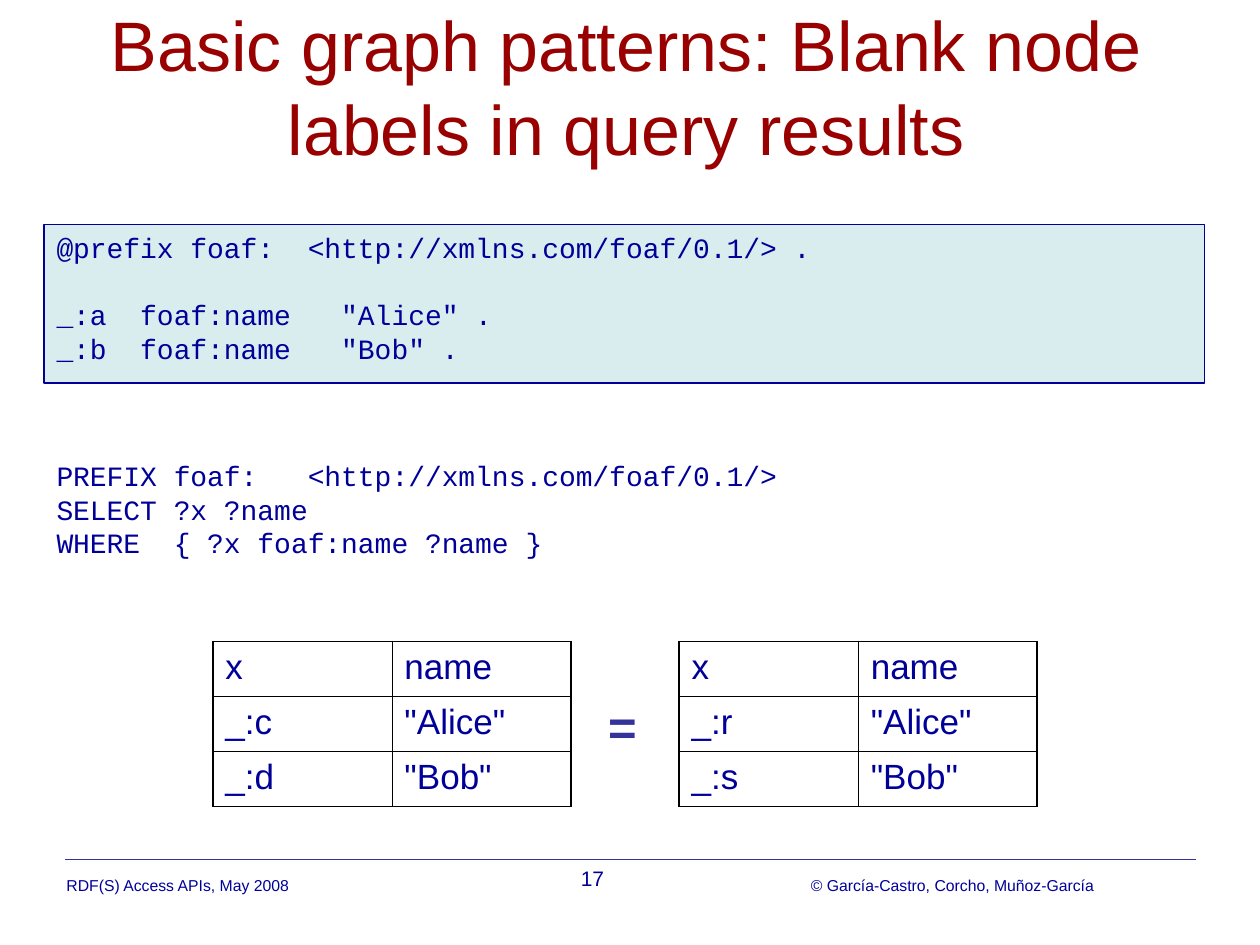
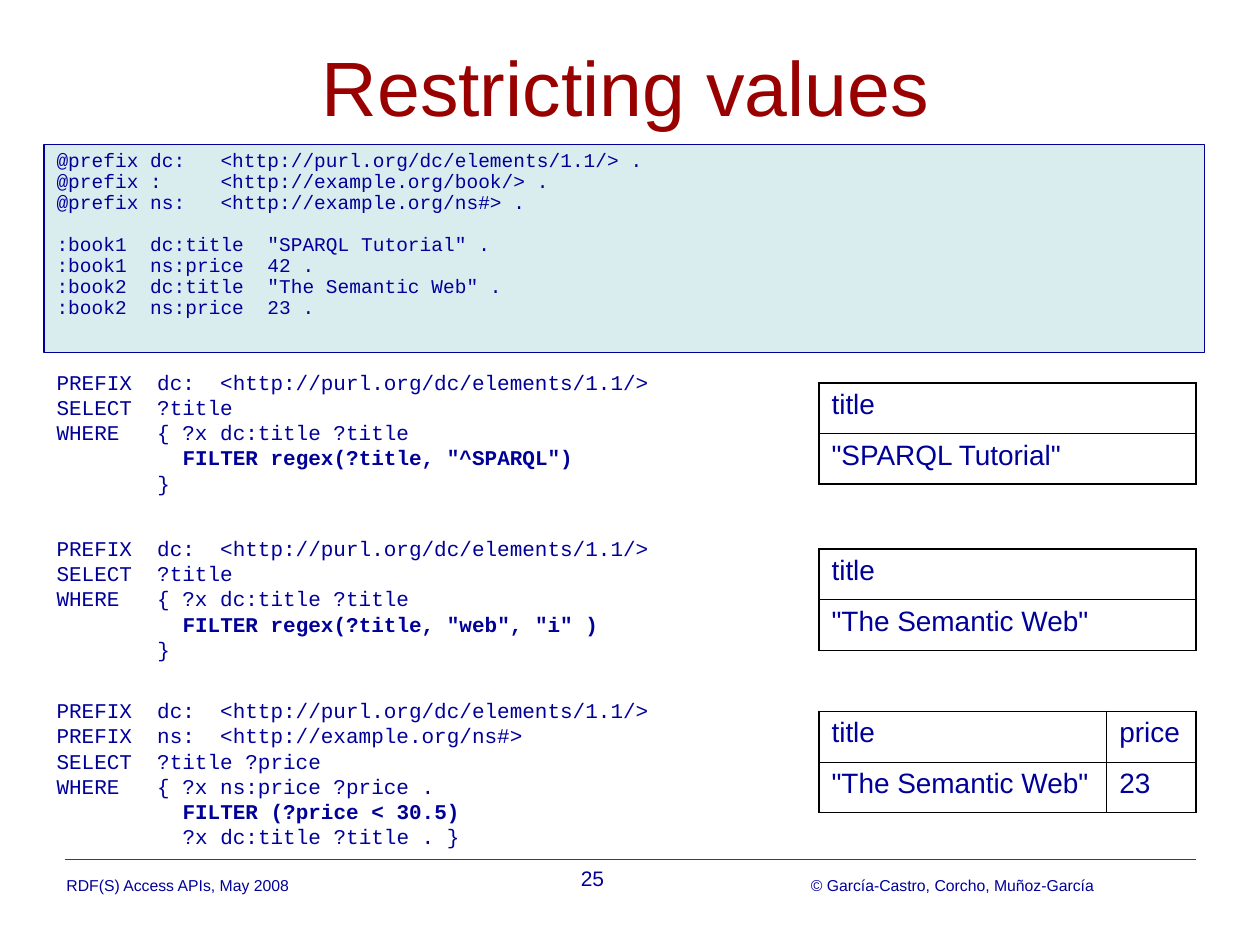
from lxml.etree import SubElement
from pptx import Presentation
from pptx.dml.color import RGBColor
from pptx.enum.shapes import MSO_CONNECTOR, MSO_SHAPE
from pptx.enum.text import MSO_ANCHOR, PP_ALIGN
from pptx.oxml import parse_xml
from pptx.oxml.ns import nsdecls, qn
from pptx.util import Cm, Pt

# Shared look
NAVY, MAROON, INDIGO, BLACK = "000099", "990000", "333399", "000000"
DATA_FILL = "D9EDEF"
BODY_FONT, CODE_FONT = "Arial", "Courier New"
CODE_LEFT, CODE_WIDTH = 0.89, 23.39
CODE_LINE_HEIGHT = 1.2   # blank line, relative to font size
CODE_CHAR_WIDTH = 0.6    # one monospaced letter, relative to font size
OUTER_LINE, INNER_LINE = 1.08, 0.45

# Code shown on the slides
PEOPLE_DATA = """\
@prefix foaf:  <http://xmlns.com/foaf/0.1/> .

_:a  foaf:name   "Alice" .
_:b  foaf:name   "Bob" ."""

PEOPLE_QUERY = """\
PREFIX foaf:   <http://xmlns.com/foaf/0.1/>
SELECT ?x ?name
WHERE  { ?x foaf:name ?name }"""

BOOK_DATA = """\
@prefix dc:   <http://purl.org/dc/elements/1.1/> .
@prefix :     <http://example.org/book/> .
@prefix ns:   <http://example.org/ns#> .

:book1  dc:title  "SPARQL Tutorial" .
:book1  ns:price  42 .
:book2  dc:title  "The Semantic Web" .
:book2  ns:price  23 ."""

TITLE_QUERY = """\
PREFIX  dc:  <http://purl.org/dc/elements/1.1/>
SELECT  ?title
WHERE   {{ ?x dc:title ?title
          FILTER regex({})
        }}"""

PRICE_QUERY = """\
PREFIX  dc:  <http://purl.org/dc/elements/1.1/>
PREFIX  ns:  <http://example.org/ns#>
SELECT  ?title ?price
WHERE   { ?x ns:price ?price .
          FILTER (?price < 30.5)
          ?x dc:title ?title . }"""


def color(hex_code):
    return RGBColor.from_string(hex_code)


def style_font(paragraph, size, hex_code=NAVY, name=BODY_FONT, bold=False):
    font = paragraph.font
    font.name, font.size, font.bold = name, Pt(size), bold
    font.color.rgb = color(hex_code)


def add_label(slide, text, left, top, width, height, size, hex_code=NAVY,
              align=PP_ALIGN.LEFT, anchor=MSO_ANCHOR.TOP, bold=False, wrap=True):
    label = slide.shapes.add_textbox(Cm(left), Cm(top), Cm(width), Cm(height))
    frame = label.text_frame
    frame.word_wrap = wrap
    frame.vertical_anchor = anchor
    paragraph = frame.paragraphs[0]
    paragraph.text = text
    paragraph.alignment = align
    style_font(paragraph, size, hex_code, bold=bold)


def fill_code(frame, code, size, spacing=1.0):
    """One paragraph a line; empty lines and leading gaps become spacing."""
    frame.word_wrap = True
    frame.vertical_anchor = MSO_ANCHOR.TOP
    paragraph, blank_lines = None, 0
    for line in code.splitlines():
        if not line:
            blank_lines += 1
            continue
        paragraph = frame.add_paragraph() if paragraph else frame.paragraphs[0]
        statement = line.lstrip()
        paragraph.text = statement
        paragraph.alignment = PP_ALIGN.LEFT
        paragraph.line_spacing = spacing
        style_font(paragraph, size, name=CODE_FONT,
                   bold=statement.startswith("FILTER"))
        if blank_lines:
            gap = blank_lines * size * CODE_LINE_HEIGHT * spacing
            paragraph.space_before = Pt(gap)
            blank_lines = 0
        indent = len(line) - len(statement)
        if indent:
            margin = Pt(indent * size * CODE_CHAR_WIDTH)
            properties = paragraph._p.get_or_add_pPr()
            properties.set("marL", str(margin))
            properties.set("indent", "0")


def add_data_box(slide, code, top, height, size, spacing=1.0):
    box = slide.shapes.add_shape(MSO_SHAPE.RECTANGLE, Cm(CODE_LEFT), Cm(top),
                                 Cm(CODE_WIDTH), Cm(height))
    box.shadow.inherit = False
    box.fill.solid()
    box.fill.fore_color.rgb = color(DATA_FILL)
    box.line.color.rgb = color(NAVY)
    box.line.width = Pt(0.75)
    fill_code(box.text_frame, code, size, spacing)


def add_query(slide, code, top, height, size):
    query = slide.shapes.add_textbox(Cm(CODE_LEFT), Cm(top),
                                     Cm(CODE_WIDTH), Cm(height))
    fill_code(query.text_frame, code, size)


def set_borders(cell, widths):
    """Draw the left, right, top and bottom borders, in that order."""
    properties = cell._tc.get_or_add_tcPr()
    for index, (side, width) in enumerate(zip("LRTB", widths)):
        border = parse_xml(
            f'<a:ln{side} {nsdecls("a")} w="{Pt(width)}"><a:solidFill>'
            f'<a:srgbClr val="{BLACK}"/></a:solidFill></a:ln{side}>')
        properties.insert(index, border)


def add_result(slide, rows, left, top, column_widths, row_height, size, before):
    row_count, column_count = len(rows), len(column_widths)
    table = slide.shapes.add_table(
        row_count, column_count, Cm(left), Cm(top),
        Cm(sum(column_widths)), Cm(row_height * row_count)).table
    table.first_row = table.horz_banding = False
    for column, width in zip(table.columns, column_widths):
        column.width = Cm(width)
    for r, values in enumerate(rows):
        table.rows[r].height = Cm(row_height)
        for c, value in enumerate(values):
            cell = table.cell(r, c)
            cell.fill.background()
            on_edge = (c == 0, c == column_count - 1, r == 0, r == row_count - 1)
            set_borders(cell, [OUTER_LINE if edge else INNER_LINE
                               for edge in on_edge])
            paragraph = cell.text_frame.paragraphs[0]
            paragraph.text = value
            paragraph.space_before = Pt(before)
            style_font(paragraph, size)


def add_footer(slide, number):
    rule = slide.shapes.add_connector(MSO_CONNECTOR.STRAIGHT, Cm(1.32), Cm(17.32),
                                      Cm(24.1), Cm(17.32))
    rule.line.color.rgb = color(INDIGO)
    rule.line.width = Pt(0.75)
    SubElement(rule._element.spPr, qn("a:effectLst"))
    add_label(slide, "RDF(S) Access APIs, May 2008", 1.09, 17.53, 10.21, 0.64, 9)
    add_label(slide, str(number), 11.46, 17.32, 2.44, 0.76, 12)
    add_label(slide, "© García-Castro, Corcho, Muñoz-García",
              14.3, 17.53, 8.0, 0.64, 9, align=PP_ALIGN.RIGHT)


def start_slide(deck, title, title_size, number):
    slide = deck.slides.add_slide(deck.slide_layouts[6])
    add_footer(slide, number)
    add_label(slide, title, 0.51, 0.13, 24.21, 3.18, title_size, MAROON,
              PP_ALIGN.CENTER, MSO_ANCHOR.MIDDLE)
    return slide


def build_blank_nodes(deck):
    slide = start_slide(
        deck, "Basic graph patterns: Blank node labels in query results", 40, 17)
    add_data_box(slide, PEOPLE_DATA, 4.52, 3.2, 16)
    add_query(slide, PEOPLE_QUERY, 9.12, 2.29, 16)

    # Two equivalent results that differ only in blank node labels
    for left, (alice, bob) in ((4.29, ("_:c", "_:d")), (13.69, ("_:r", "_:s"))):
        rows = [("x", "name"), (alice, '"Alice"'), (bob, '"Bob"')]
        add_result(slide, rows, left, 12.93, (3.61, 3.61), 1.11, 20, 5)
    add_label(slide, "=", 12.01, 13.92, 1.07, 1.45, 28, INDIGO,
              PP_ALIGN.CENTER, bold=True, wrap=False)


def build_restricting_values(deck):
    slide = start_slide(deck, "Restricting values", 44, 25)
    add_data_box(slide, BOOK_DATA, 2.92, 4.19, 11.1, 0.9)

    # Each query with its result beside it
    examples = [
        (7.32, TITLE_QUERY.format('?title, "^SPARQL"'), (7.6,),
         [("title",), ('"SPARQL Tutorial"',)]),
        (10.67, TITLE_QUERY.format('?title, "web", "i" '), (7.6,),
         [("title",), ('"The Semantic Web"',)]),
        (13.94, PRICE_QUERY, (5.8, 1.8),
         [("title", "price"), ('"The Semantic Web"', "23")]),
    ]
    for top, query, column_widths, rows in examples:
        add_query(slide, query, top, 2.8, 12)
        add_result(slide, rows, 16.51, top + 0.4, column_widths, 1.02, 16, 4)


def main():
    deck = Presentation()
    deck.slide_width, deck.slide_height = Cm(25.4), Cm(19.05)
    build_blank_nodes(deck)
    build_restricting_values(deck)
    deck.save("out.pptx")


if __name__ == "__main__":
    main()
